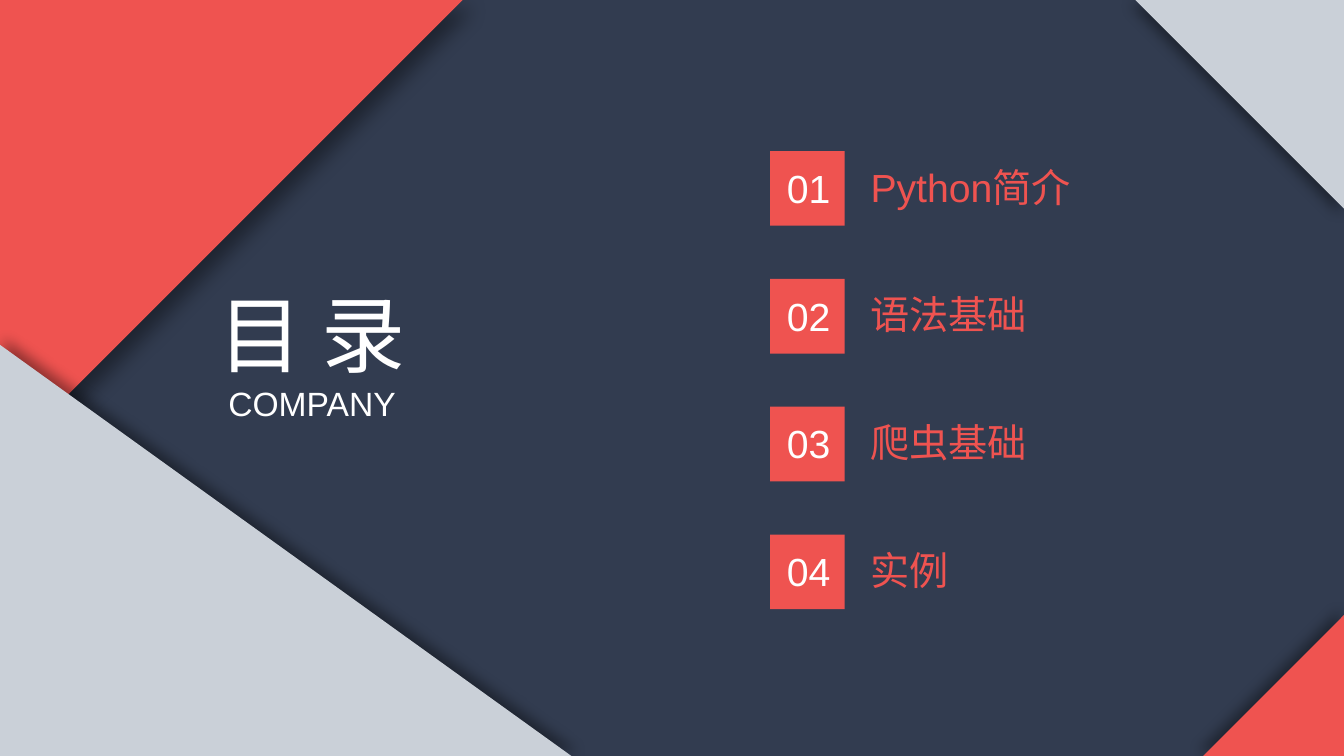
from dataclasses import dataclass

from lxml import etree
from pptx import Presentation
from pptx.dml.color import RGBColor
from pptx.enum.lang import MSO_LANGUAGE_ID
from pptx.enum.shapes import MSO_SHAPE
from pptx.enum.text import MSO_AUTO_SIZE, PP_ALIGN
from pptx.oxml.ns import qn
from pptx.shapes.autoshape import Shape
from pptx.slide import Slide
from pptx.util import Cm, Pt

RECT, WEDGE = MSO_SHAPE.RECTANGLE, MSO_SHAPE.RIGHT_TRIANGLE
GROW = MSO_AUTO_SIZE.SHAPE_TO_FIT_TEXT
LEFT, MID = PP_ALIGN.LEFT, PP_ALIGN.CENTER
CHINESE = MSO_LANGUAGE_ID.SIMPLIFIED_CHINESE

COLORS = {"navy": "323C50", "red": "EF5350", "gray": "CAD0D8",
          "white": "FFFFFF", "black": "000000"}
WIDE, HIGH = 33.87, 19.05
TOP, STEP, SIDE = 3.81, 3.22, 1.88
TOPICS = ["Python简介", "语法基础", "爬虫基础", "实例"]


@dataclass
class Box:
    """A frame on the slide, in centimetres."""
    x: float
    y: float
    w: float
    h: float

    def lengths(self) -> list[Cm]:
        """Return left, top, width and height."""
        return [Cm(v) for v in (self.x, self.y, self.w, self.h)]


@dataclass
class Corner:
    """A triangle that fills one slide corner and casts a shadow inward."""
    color: str
    w: float
    h: float
    right: bool
    top: bool
    angle: int
    blur: int = 10
    dist: int = 5


RED_TOP = Corner("red", 11.66, 11.66, False, True, 45, 15, 10)
GRAY_TOP = Corner("gray", 5.26, 5.26, True, True, 135)
RED_LOW = Corner("red", 3.55, 3.55, True, False, 225)
GRAY_LOW = Corner("gray", 14.4, 10.36, False, False, 315)


def rgb(name: str) -> RGBColor:
    """Look up a colour by name."""
    return RGBColor.from_string(COLORS[name])


def add_fill(slide: Slide, kind: MSO_SHAPE, box: Box, color: str) -> Shape:
    """Draw a flat shape without outline or shadow."""
    shape = slide.shapes.add_shape(kind, *box.lengths())
    shape.shadow.inherit = False
    shape.fill.solid()
    shape.fill.fore_color.rgb = rgb(color)
    shape.line.fill.background()
    return shape


def add_corner(slide: Slide, c: Corner) -> None:
    """Draw a corner triangle, flipped into place, with its soft shadow."""
    box = Box(WIDE - c.w if c.right else 0, 0 if c.top else HIGH - c.h, c.w, c.h)
    props = add_fill(slide, WEDGE, box, c.color).element.spPr
    for key, flip in {"flipH": c.right, "flipV": c.top}.items():
        if flip:
            props.xfrm.set(key, "1")
    shade = etree.SubElement(
        props.find(qn("a:effectLst")), qn("a:outerShdw"),
        blurRad=str(Pt(c.blur)), dist=str(Pt(c.dist)),
        dir=str(c.angle * 60000), rotWithShape="0")
    tint = etree.SubElement(shade, qn("a:srgbClr"), val=COLORS["black"])
    etree.SubElement(tint, qn("a:alpha"), val="40000")


def add_text(slide: Slide, box: Box, lines: dict[str, int], color: str,
             align: PP_ALIGN = LEFT, wrap: bool = False) -> None:
    """Write lines of text, each with its own size in points."""
    frame = slide.shapes.add_textbox(*box.lengths()).text_frame
    frame.word_wrap = wrap
    frame.auto_size = GROW
    frame.text = "\n".join(lines)
    for para, size in zip(frame.paragraphs, lines.values()):
        para.alignment = align
        font = para.runs[0].font
        form = {"name": "Arial", "size": Pt(size), "language_id": CHINESE}
        for key, value in form.items():
            setattr(font, key, value)
        font.color.rgb = rgb(color)


def add_topic(slide: Slide, row: int, topic: str) -> None:
    """Draw one numbered line of the contents list."""
    y = TOP + row * STEP
    add_fill(slide, RECT, Box(19.41, y, SIDE, SIDE), "red")
    add_text(slide, Box(19.58, y + 0.2, 1.63, 1.45), {f"{row + 1:02}": 28}, "white")
    add_text(slide, Box(21.69, y + 0.17, 7.49, 1.45), {topic: 28}, "red", wrap=True)


def main() -> None:
    """Build the contents slide and save it."""
    deck = Presentation()
    deck.slide_width, deck.slide_height = Cm(WIDE), Cm(HIGH)
    slide = deck.slides.add_slide(deck.slide_layouts[6])
    back = slide.background.fill
    back.solid()
    back.fore_color.rgb = rgb("navy")
    for corner in (GRAY_TOP, RED_TOP, RED_LOW):
        add_corner(slide, corner)
    add_text(slide, Box(5.16, 6.99, 5.41, 3.84),
             {"目 录": 60, "COMPANY": 24}, "white", MID)
    for row, topic in enumerate(TOPICS):
        add_topic(slide, row, topic)
    add_corner(slide, GRAY_LOW)
    deck.save("out.pptx")


main()
